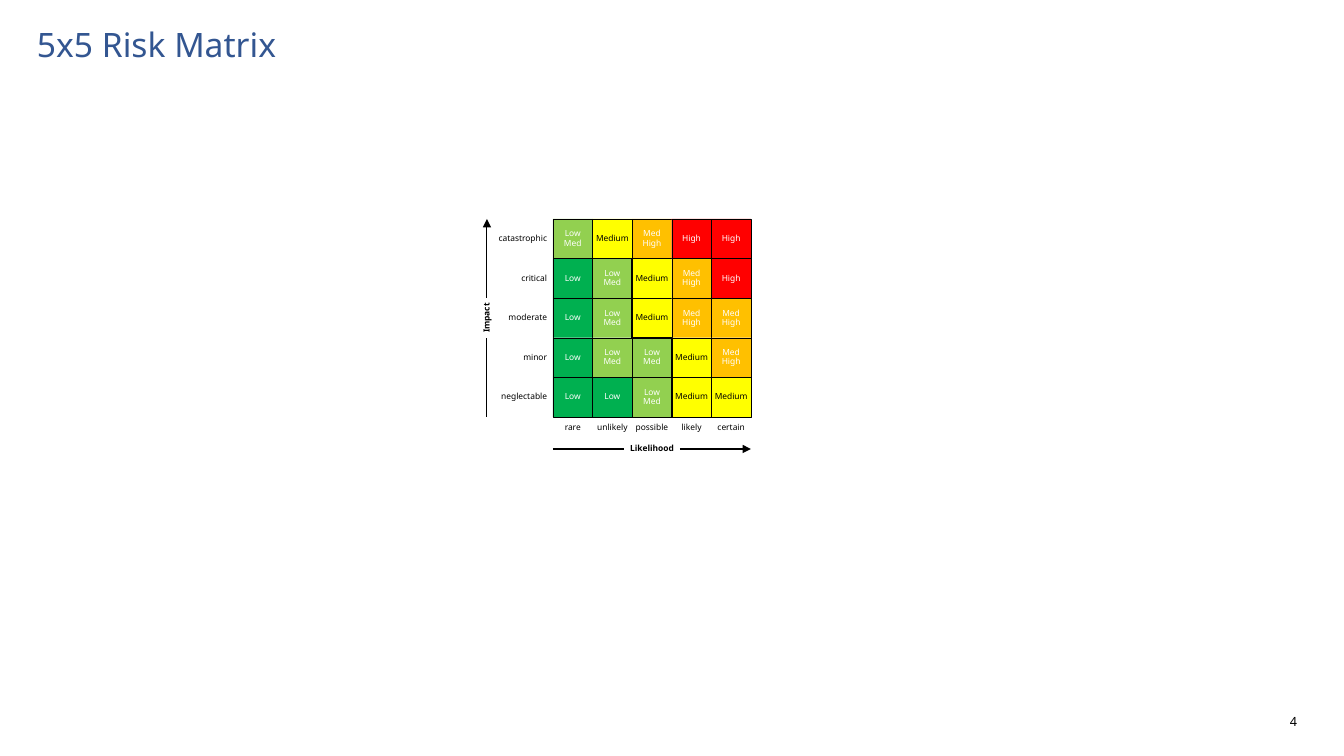
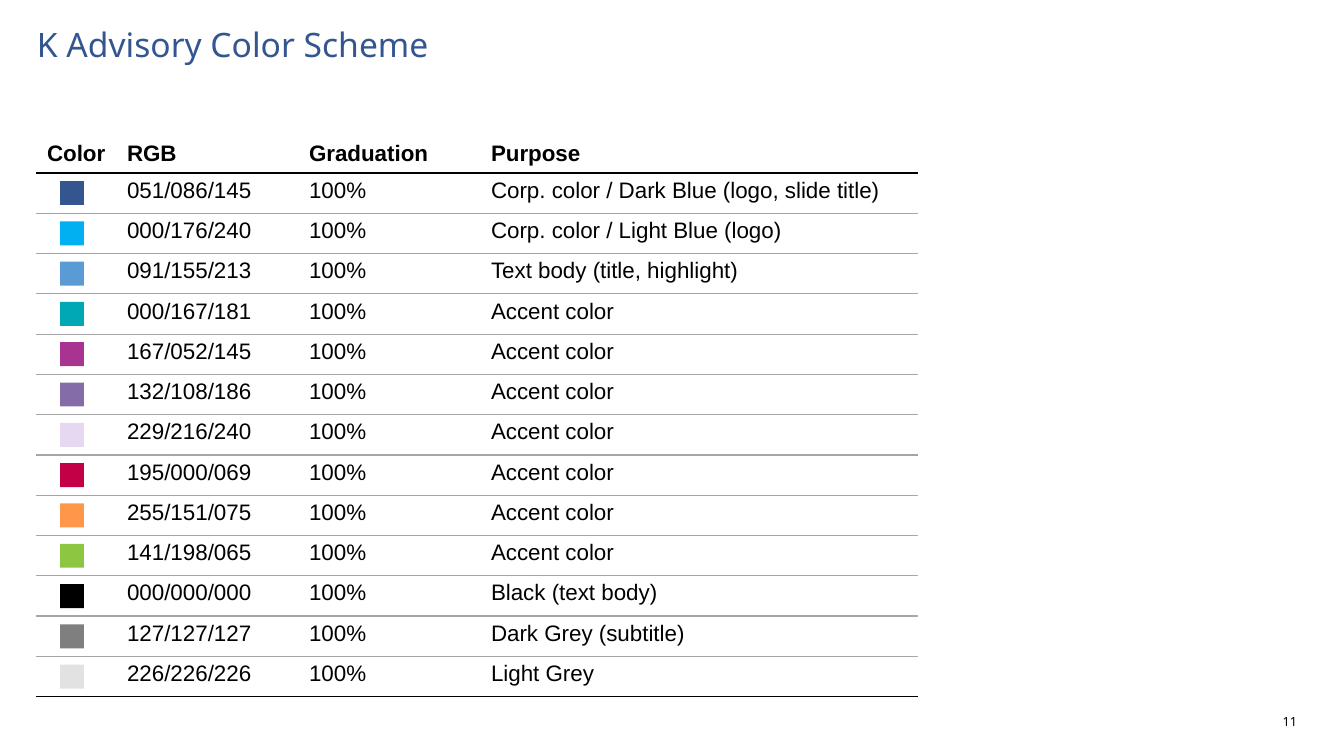
from itertools import pairwise

from lxml import etree
from pptx import Presentation, util as u
from pptx.dml.color import RGBColor
from pptx.enum import shapes, text
from pptx.oxml.ns import qn

SCALE = 914400 / 100.8  # EMU in one pixel
FONT, TABLE_FONT = "Noto Sans", "Arial"
COLORS = {
    "title": "335691", "black": "000000", "white": "FFFFFF", "rule": "A6A6A6",
    "Low": "00B050", "Low\vMed": "92D050", "Medium": "FFFF00",
    "Med\vHigh": "FFC000", "High": "FF0000",
    "dark blue": "335691", "light blue": "00B0F0", "text blue": "5B9BD5",
    "teal": "00A7B5", "magenta": "A73491", "purple": "846CA8",
    "lilac": "E5D8F0", "crimson": "C30045", "orange": "FF974B",
    "green": "8DC641", "dark grey": "7F7F7F", "light grey": "E2E2E2",
}
LEFT, CENTER, RIGHT = text.PP_ALIGN.LEFT, text.PP_ALIGN.CENTER, text.PP_ALIGN.RIGHT
TOP, MIDDLE = text.MSO_ANCHOR.TOP, text.MSO_ANCHOR.MIDDLE


def px(value):
    return u.Emu(round(value * SCALE))


def rgb(name):
    return RGBColor.from_string(COLORS[name])


def style_text(frame, size, color="black", bold=False, align=LEFT, font=FONT, spacing=0.9):
    for paragraph in frame.paragraphs:
        paragraph.alignment = align
        paragraph.line_spacing = spacing
        for run in paragraph.runs:
            run.font.name, run.font.size = font, u.Pt(size)
            run.font.bold, run.font.color.rgb = bold, rgb(color)


def fill_frame(shape, words, size, anchor=MIDDLE, insets=(0, 0, 0, 0), **style):
    frame = shape.text_frame
    frame.word_wrap, frame.vertical_anchor = True, anchor
    (frame.margin_left, frame.margin_top,
     frame.margin_right, frame.margin_bottom) = map(px, insets)
    frame.text = words
    style_text(frame, size, **style)


def add_label(slide, box, words, size, **style):
    label = slide.shapes.add_textbox(*map(px, box))
    fill_frame(label, words, size, **style)
    return label


def add_box(slide, box, fill, outlined=False):
    shape = slide.shapes.add_shape(shapes.MSO_SHAPE.RECTANGLE, *map(px, box))
    shape.shadow.inherit = False
    shape.fill.solid()
    shape.fill.fore_color.rgb = rgb(fill)
    if outlined:
        shape.line.color.rgb, shape.line.width = rgb("black"), u.Pt(0.25)
    else:
        shape.line.fill.background()
    return shape


def add_line(slide, start, end, width, arrow=False):
    line = slide.shapes.add_connector(
        shapes.MSO_CONNECTOR.STRAIGHT, *map(px, (*start, *end)))
    line.line.color.rgb, line.line.width = rgb("black"), u.Pt(width)
    if arrow:
        outline = line.line._get_or_add_ln()
        etree.SubElement(outline, qn("a:tailEnd"), type="triangle")
    etree.SubElement(line._element.spPr, qn("a:effectLst"))


def add_page(presentation, title, number):
    slide = presentation.slides.add_slide(presentation.slide_layouts[6])
    add_label(slide, (37, 28, 1270, 80), title, 24, anchor=TOP, color="title")
    add_label(slide, (672, 711, 635, 24), number, 9, insets=(10, 5, 10, 5),
              anchor=TOP, align=RIGHT)
    return slide


# Risk matrix
RISKS = {
    "catastrophic": ("Low\vMed", "Medium", "Med\vHigh", "High", "High"),
    "critical": ("Low", "Low\vMed", "Medium", "Med\vHigh", "High"),
    "moderate": ("Low", "Low\vMed", "Medium", "Med\vHigh", "Med\vHigh"),
    "minor": ("Low", "Low\vMed", "Low\vMed", "Medium", "Med\vHigh"),
    "neglectable": ("Low", "Low", "Low\vMed", "Medium", "Medium"),
}
LIKELIHOODS = ("rare", "unlikely", "possible", "likely", "certain")
# Column and row edges that the risk tolerance line passes
TOLERANCE = ((1, 0), (1, 1), (2, 1), (2, 2), (2, 3), (3, 3), (3, 4), (3, 5))


def draw_matrix(slide, left, top, size):
    cell = size / len(LIKELIHOODS)
    middle_x, middle_y = left + size / 2, top + size / 2
    bottom = top + size

    # Cells and impact levels
    for row, (impact, levels) in enumerate(RISKS.items()):
        y = top + row * cell
        add_label(slide, (left - 56, y, 56, cell), impact, 6,
                  insets=(0, 0, 6, 0), align=RIGHT)
        for column, level in enumerate(levels):
            square = add_box(slide, (left + column * cell, y, cell, cell), level, True)
            color = "black" if level == "Medium" else "white"
            fill_frame(square, level, 6, insets=(0, 5, 0, 5), color=color, align=CENTER)

    # Likelihood levels
    for column, likelihood in enumerate(LIKELIHOODS):
        add_label(slide, (left + column * cell, bottom, cell, 21), likelihood, 6,
                  align=CENTER)

    # Likelihood axis
    axis_y = bottom + 32
    add_label(slide, (left, axis_y - 10, size, 20), "Likelihood", 6,
              bold=True, align=CENTER)
    add_line(slide, (left, axis_y), (middle_x - 28, axis_y), 0.75)
    add_line(slide, (middle_x + 28, axis_y), (left + size, axis_y), 0.75, arrow=True)

    # Impact axis
    axis_x = left - 66
    label = add_label(slide, (axis_x - size / 2, middle_y - 10, size, 20), "Impact", 6,
                      bold=True, align=CENTER)
    label.rotation = 270
    add_line(slide, (axis_x, bottom), (axis_x, middle_y + 20), 0.75)
    add_line(slide, (axis_x, middle_y - 20), (axis_x, top), 0.75, arrow=True)

    # Risk tolerance line
    corners = [(left + x * cell, top + y * cell) for x, y in TOLERANCE]
    for start, end in pairwise(corners):
        add_line(slide, start, end, 1.25)


# Color scheme
HEADINGS = ("Color", "RGB", "Graduation", "Purpose")
SCHEME = (
    ("dark blue", "051/086/145", "Corp. color / Dark Blue (logo, slide title)"),
    ("light blue", "000/176/240", "Corp. color / Light Blue (logo)"),
    ("text blue", "091/155/213", "Text body (title, highlight)"),
    ("teal", "000/167/181", "Accent color"),
    ("magenta", "167/052/145", "Accent color"),
    ("purple", "132/108/186", "Accent color"),
    ("lilac", "229/216/240", "Accent color"),
    ("crimson", "195/000/069", "Accent color"),
    ("orange", "255/151/075", "Accent color"),
    ("green", "141/198/065", "Accent color"),
    ("black", "000/000/000", "Black (text body)"),
    ("dark grey", "127/127/127", "Dark Grey (subtitle)"),
    ("light grey", "226/226/226", "Light Grey"),
)


def set_border(cell, side, color):
    properties = cell._tc.get_or_add_tcPr()
    border = etree.Element(qn(f"a:{side}"), w=str(u.Pt(1)))
    fill = etree.SubElement(border, qn("a:solidFill"))
    etree.SubElement(fill, qn("a:srgbClr"), val=COLORS[color])
    properties.insert(0, border)


def draw_scheme(slide, left, top, height):
    widths, header = (80, 182, 182, 436), 37
    pitch = (height - header) / len(SCHEME)
    rows = [HEADINGS] + [("", value, "100%", purpose) for _, value, purpose in SCHEME]
    last = len(SCHEME)
    frame = slide.shapes.add_table(
        len(rows), len(widths), *map(px, (left, top, sum(widths), height)))
    table = frame.table
    table.first_row = table.horz_banding = False
    for column, width in zip(table.columns, widths):
        column.width = px(width)

    # Cells and rules
    for index, words in enumerate(rows):
        table.rows[index].height = px(pitch if index else header)
        for cell, word in zip(table.rows[index].cells, words):
            cell.fill.background()
            set_border(cell, "lnB", "black" if index in (0, last) else "rule")
            if index:
                set_border(cell, "lnT", "black" if index == 1 else "rule")
            if word:
                cell.text = word
                style_text(cell.text_frame, 16, bold=index == 0,
                           font=TABLE_FONT, spacing=1.0)
            else:
                cell.margin_top = cell.margin_bottom = 0

    # Swatches
    for index, (color, _, _) in enumerate(SCHEME):
        add_box(slide, (left + 23, top + header + 8 + index * pitch, 24, 24), color)


presentation = Presentation()
presentation.slide_width, presentation.slide_height = px(1344), px(756)
draw_matrix(add_page(presentation, "5x5 Risk Matrix", "4"), 553, 219, 198)
draw_scheme(add_page(presentation, "K Advisory Color Scheme", "11"), 37, 136, 561)
presentation.save("out.pptx")
